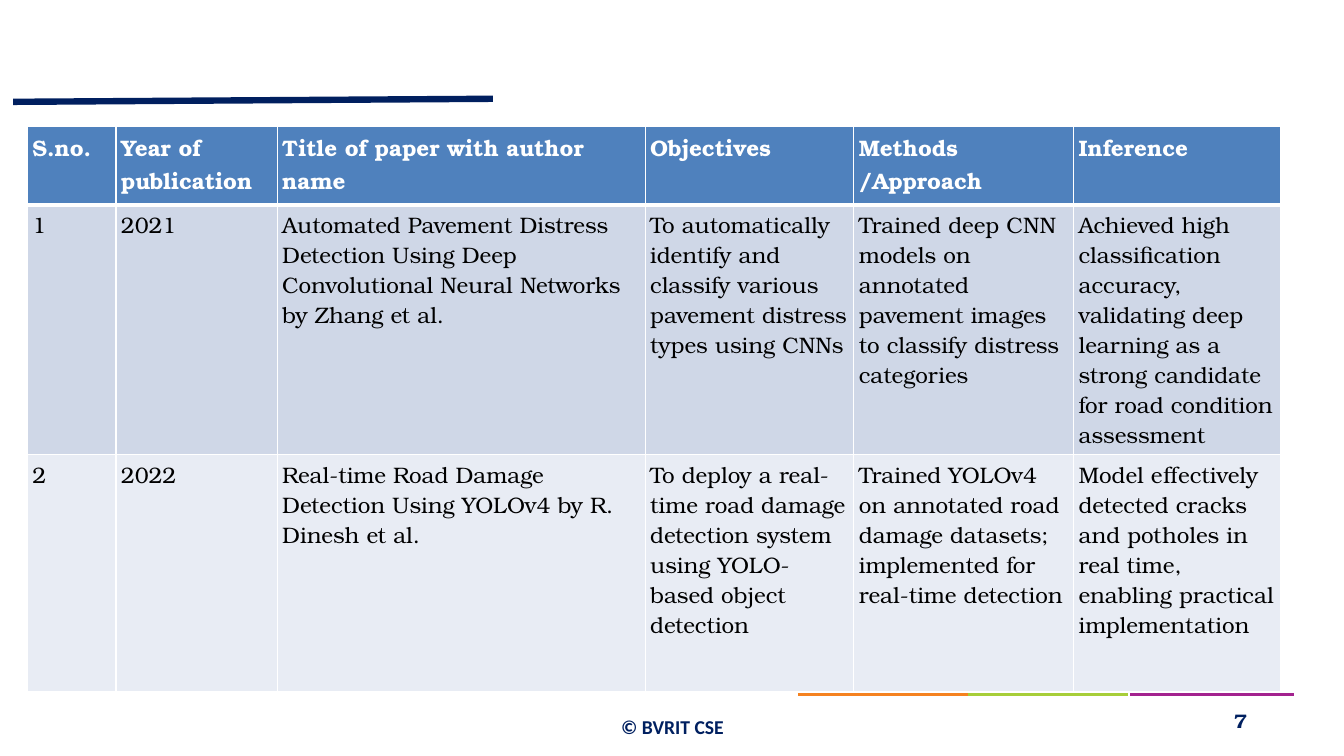
import pptx
import pptx.dml.color
import pptx.enum.shapes
import pptx.enum.text
import pptx.oxml
import pptx.oxml.ns
import pptx.util

RGBColor = pptx.dml.color.RGBColor
PP_ALIGN = pptx.enum.text.PP_ALIGN
ANCHOR = pptx.enum.text.MSO_ANCHOR

NAVY = RGBColor(0x00, 0x20, 0x60)
RULE_NAVY = RGBColor(0x00, 0x1F, 0x5F)
PURPLE = RGBColor(0xA3, 0x22, 0x8F)
GREEN = RGBColor(0xA7, 0xCE, 0x39)
ORANGE = RGBColor(0xF5, 0x82, 0x20)
WHITE = RGBColor(0xFF, 0xFF, 0xFF)
BLACK = RGBColor(0x00, 0x00, 0x00)
HEADER_BLUE = RGBColor(0x4F, 0x81, 0xBD)
BAND_DARK = RGBColor(0xCF, 0xD7, 0xE7)
BAND_LIGHT = RGBColor(0xE8, 0xEC, 0xF4)

SLIDE_WIDTH = pptx.util.Inches(13.33)
SLIDE_HEIGHT = pptx.util.Inches(7.5)
INSET = pptx.util.Inches(0.05)
BODY_FONT = "TeX Gyre Bonum"

RULES = [
    (84.1, 91.87, 96.25, 91.87, PURPLE, 2.28),
    (71.34, 91.87, 83.95, 91.87, GREEN, 2.28),
    (59.41, 91.87, 72.02, 91.87, ORANGE, 2.28),
    (0.98, 13.47, 36.68, 13.07, RULE_NAVY, 4.56),
]
COLUMN_SHARES = [6.6, 12, 27.38, 15.53, 16.35, 15.38]
ROW_SHARES = [10.4, 33.07, 31.33]
ROW_FILLS = [HEADER_BLUE, BAND_DARK, BAND_LIGHT]
PAPERS = [
    ["S.no.", "Year of publication", "Title of paper with author name",
     "Objectives", "Methods /Approach", "Inference"],
    ["1", "2021",
     "Automated Pavement Distress Detection Using Deep Convolutional Neural Networks by Zhang et al.",
     "To automatically identify and classify various pavement distress types using CNNs",
     "Trained deep CNN models on annotated pavement images to classify distress categories",
     "Achieved high classification accuracy, validating deep learning as a strong candidate "
     "for road condition assessment"],
    ["2", "2022",
     "Real-time Road Damage Detection Using YOLOv4 by R. Dinesh et al.",
     "To deploy a real-time road damage detection system using YOLO-based object detection",
     "Trained YOLOv4 on annotated road damage datasets; implemented for real-time detection",
     "Model effectively detected cracks and potholes in real time, enabling practical implementation"],
]


def across(share):
    """Return a length as a percentage of the slide width."""
    return round(SLIDE_WIDTH * share / 100)


def down(share):
    """Return a length as a percentage of the slide height."""
    return round(SLIDE_HEIGHT * share / 100)


def write(frame, text, *, size, color, font=BODY_FONT, bold=False,
          align=PP_ALIGN.LEFT, spacing=1.0):
    """Write one formatted paragraph into a text frame."""
    paragraph = frame.paragraphs[0]
    paragraph.alignment = align
    paragraph.line_spacing = spacing
    run = paragraph.add_run()
    run.text = text
    run.font.name = font
    run.font.size = pptx.util.Pt(size)
    run.font.bold = bold
    run.font.color.rgb = color


def set_insets(holder):
    """Give a cell or a text frame the same inset on all four sides."""
    holder.margin_left = holder.margin_right = INSET
    holder.margin_top = holder.margin_bottom = INSET


def add_rule(slide, x1, y1, x2, y2, color, weight):
    """Draw a straight coloured rule without a shadow."""
    rule = slide.shapes.add_connector(
        pptx.enum.shapes.MSO_CONNECTOR.STRAIGHT,
        across(x1), down(y1), across(x2), down(y2))
    rule.line.color.rgb = color
    rule.line.width = pptx.util.Pt(weight)
    properties = rule.element.find(pptx.oxml.ns.qn("p:spPr"))
    properties.append(pptx.oxml.parse_xml(
        f'<a:effectLst {pptx.oxml.ns.nsdecls("a")}/>'))


def add_footer(slide, text, left, top, width, height, *, wrap=True, **text_format):
    """Add a vertically centred footer text in bold navy."""
    box = slide.shapes.add_textbox(across(left), down(top), across(width), down(height))
    frame = box.text_frame
    frame.word_wrap = wrap
    frame.auto_size = pptx.enum.text.MSO_AUTO_SIZE.SHAPE_TO_FIT_TEXT
    frame.vertical_anchor = ANCHOR.MIDDLE
    set_insets(frame)
    write(frame, text, size=14, color=NAVY, bold=True, **text_format)


def add_borders(cell, bottom_weight):
    """Outline a cell in white with a chosen bottom weight."""
    weights = {"lnL": 1, "lnR": 1, "lnT": 1, "lnB": bottom_weight}
    properties = cell._tc.get_or_add_tcPr()
    for edge, weight in weights.items():
        properties.append(pptx.oxml.parse_xml(
            f'<a:{edge} {pptx.oxml.ns.nsdecls("a")} w="{pptx.util.Pt(weight)}">'
            f'<a:solidFill><a:srgbClr val="{WHITE}"/></a:solidFill></a:{edge}>'))


def add_review_table(slide):
    """Add the table of reviewed papers."""
    review = slide.shapes.add_table(
        len(ROW_SHARES), len(COLUMN_SHARES), across(2.03), down(16.67),
        across(sum(COLUMN_SHARES)), down(sum(ROW_SHARES))).table
    for column, share in zip(review.columns, COLUMN_SHARES):
        column.width = across(share)
    for row, share in zip(review.rows, ROW_SHARES):
        row.height = down(share)
    for row_index, (paper, fill) in enumerate(zip(PAPERS, ROW_FILLS)):
        is_header = row_index == 0
        for column_index, text in enumerate(paper):
            cell = review.cell(row_index, column_index)
            set_insets(cell)
            add_borders(cell, 3 if is_header else 1)
            cell.fill.solid()
            cell.fill.fore_color.rgb = fill
            write(cell.text_frame, text, size=16, bold=is_header,
                  color=WHITE if is_header else BLACK)


def main():
    """Build the literature review slide and save it."""
    deck = pptx.Presentation()
    deck.slide_width = SLIDE_WIDTH
    deck.slide_height = SLIDE_HEIGHT
    slide = deck.slides.add_slide(deck.slide_layouts[6])
    for rule in RULES:
        add_rule(slide, *rule)
    add_footer(slide, "© BVRIT CSE", 33.53, 93.33, 33.01, 4.13,
               font="Calibri", align=PP_ALIGN.CENTER, spacing=1.5)
    add_footer(slide, "7", 90.92, 93.2, 2.25, 4.27, wrap=False, align=PP_ALIGN.RIGHT)
    add_review_table(slide)
    deck.save("out.pptx")


if __name__ == "__main__":
    main()
